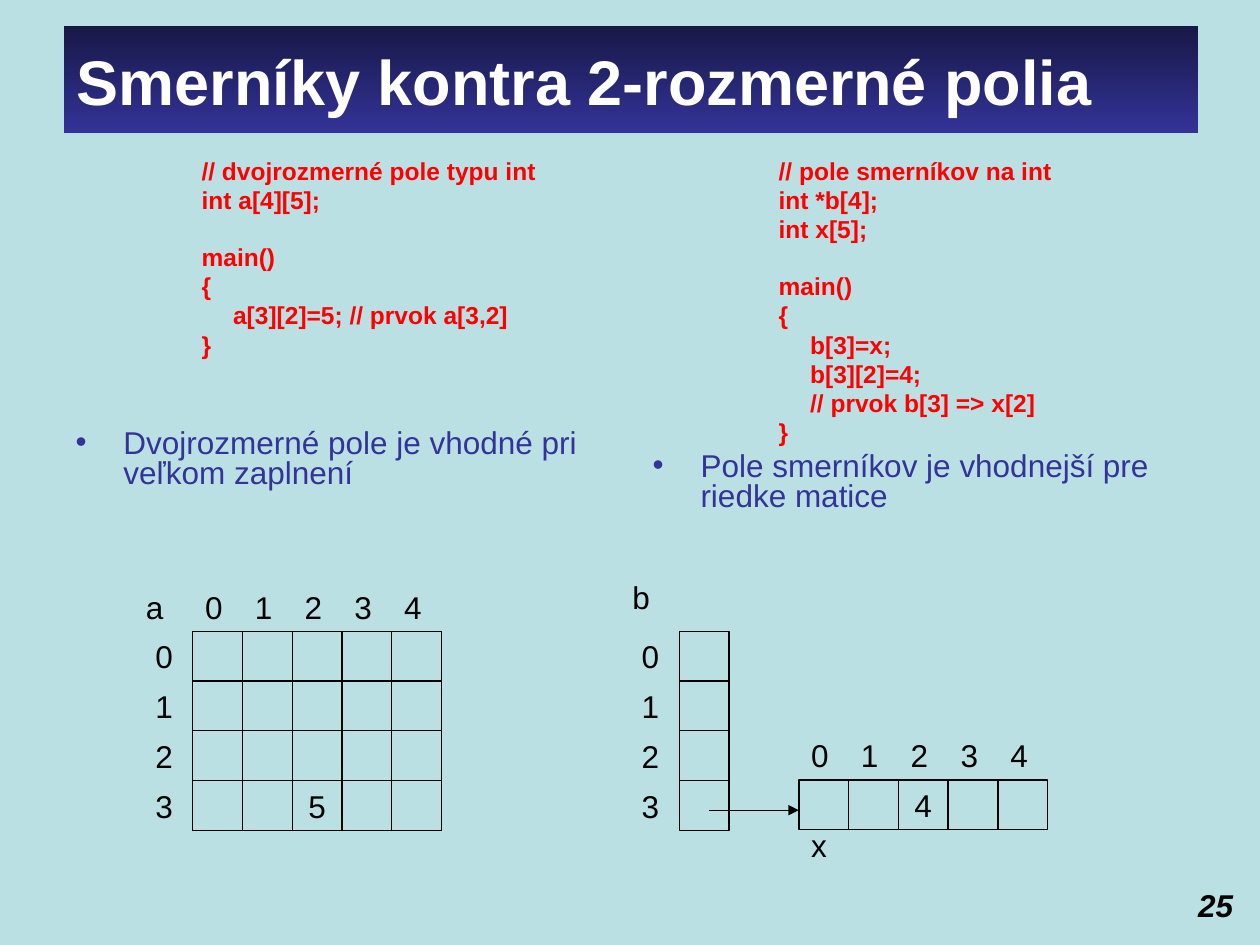
from dataclasses import dataclass

from lxml import etree
from pptx import Presentation
from pptx.dml.color import RGBColor
from pptx.enum.shapes import MSO_CONNECTOR, MSO_SHAPE
from pptx.enum.text import MSO_ANCHOR, MSO_AUTO_SIZE, PP_ALIGN
from pptx.oxml.ns import qn
from pptx.util import Inches, Pt

RECT, STRAIGHT = MSO_SHAPE.RECTANGLE, MSO_CONNECTOR.STRAIGHT
MIDDLE, TOP = MSO_ANCHOR.MIDDLE, MSO_ANCHOR.TOP
LEFT, CENTER = PP_ALIGN.LEFT, PP_ALIGN.CENTER
FIXED, GROW = MSO_AUTO_SIZE.NONE, MSO_AUTO_SIZE.SHAPE_TO_FIT_TEXT


@dataclass(frozen=True)
class Theme:
    font: str = "Arial"
    background: RGBColor = RGBColor(0xBB, 0xE0, 0xE3)
    banner_dark: RGBColor = RGBColor(0x18, 0x18, 0x47)
    accent: RGBColor = RGBColor(0x33, 0x33, 0x99)
    code: RGBColor = RGBColor(0xFF, 0x00, 0x00)
    title: RGBColor = RGBColor(0xFF, 0xFF, 0xFF)
    ink: RGBColor = RGBColor(0x00, 0x00, 0x00)
    title_size: float = 36
    code_size: float = 14
    text_size: float = 18
    line_width: float = 0.75


@dataclass(frozen=True)
class Column:
    """Code blocks followed by one bullet; gap is the space above the bullet in points."""
    left: float
    blocks: tuple[tuple[str, ...], ...]
    bullet: str
    gap: float


@dataclass(frozen=True)
class Grid:
    left: float
    top: float
    rows: int
    cols: int
    row_labels: bool = False
    col_labels: bool = False
    marked: tuple[int, int] | None = None
    value: str = ""


THEME = Theme()
PITCH = 1.58 / 4
LABEL_W, LABEL_H = 0.34, 0.4
CODE_GAP, BLOCK_GAP = 3.2, 19.4

COLUMNS = (
    Column(0.5, (("// dvojrozmerné pole typu int", "int a[4][5];"),
                 ("main()", "{", "\ta[3][2]=5; // prvok a[3,2]", "}")),
           "Dvojrozmerné pole je vhodné pri veľkom zaplnení", 40.7),
    Column(5.08, (("// pole smerníkov na int", "int *b[4];", "int x[5];"),
                  ("main()", "{", "\tb[3]=x;", "\tb[3][2]=4;",
                   "\t// prvok b[3] => x[2]", "}")),
           "Pole smerníkov je vhodnejší pre riedke matice", 4.1),
)
ARRAY_A = Grid(1.53, 5.01, 4, 5, True, True, (3, 2), "5")
ARRAY_B = Grid(5.39, 5.01, 4, 1, row_labels=True)
ARRAY_X = Grid(6.34, 6.19, 1, 5, col_labels=True, marked=(0, 2), value="4")


def place(s, left: float, top: float, width: float, height: float) -> None:
    s.left, s.top = Inches(left), Inches(top)
    s.width, s.height = Inches(width), Inches(height)


def style(p, size: float, color: RGBColor, bold=False, italic=False) -> None:
    for r in p.runs:
        r.font.name, r.font.size = THEME.font, Pt(size)
        r.font.bold, r.font.italic = bold, italic
        r.font.color.rgb = color


def set_indent(p, margin: float, hanging: float, bullet: str = "") -> None:
    pPr = p._p.get_or_add_pPr()
    pPr.set("marL", str(Inches(margin)))
    pPr.set("indent", str(-Inches(hanging)))
    if bullet:
        etree.SubElement(pPr, qn("a:buChar")).set("char", bullet)
    else:
        etree.SubElement(pPr, qn("a:buNone"))


def fill_title(s, text: str) -> None:
    place(s, 0.51, 0.21, 9, 0.85)
    s.fill.gradient()
    s.fill.gradient_angle = 270
    for stop, color in zip(s.fill.gradient_stops, (THEME.banner_dark, THEME.accent)):
        stop.color.rgb = color
    tf = s.text_frame
    tf.text = text
    tf.auto_size, tf.vertical_anchor = FIXED, MIDDLE
    p = tf.paragraphs[0]
    p.alignment = LEFT
    style(p, THEME.title_size, THEME.title, bold=True)


def fill_column(s, column: Column) -> None:
    place(s, column.left, 1.23, 4.42, 3.15)
    tf = s.text_frame
    lines = [(line, BLOCK_GAP if b and not i else CODE_GAP)
             for b, block in enumerate(column.blocks) for i, line in enumerate(block)]
    tf.text = "\n".join([line for line, _ in lines] + [column.bullet])
    tf.auto_size, tf.vertical_anchor = FIXED, TOP
    *code, bullet = tf.paragraphs
    for p in tf.paragraphs:
        p.line_spacing = 0.8
    for p, (_, gap) in zip(code, lines):
        p.level, p.space_before = 2, Pt(gap)
        set_indent(p, 1.25, 0.25)
        style(p, THEME.code_size, THEME.code, bold=True)
    bullet.space_before = Pt(column.gap)
    set_indent(bullet, 0.38, 0.38, "•")
    style(bullet, THEME.text_size, THEME.accent)


def add_label(shapes, text: str, left: float, top: float, width: float = LABEL_W,
              strong: bool = False) -> None:
    s = shapes.add_textbox(Inches(left), Inches(top), Inches(width), Inches(LABEL_H))
    tf = s.text_frame
    tf.text = text
    tf.word_wrap, tf.auto_size = False, GROW
    style(tf.paragraphs[0], THEME.text_size, THEME.ink, strong, strong)


def add_cell(shapes, left: float, top: float, text: str) -> None:
    s = shapes.add_shape(RECT, Inches(left), Inches(top), Inches(PITCH), Inches(PITCH))
    s.shadow.inherit = False
    s.fill.solid()
    s.fill.fore_color.rgb = THEME.background
    s.line.color.rgb, s.line.width = THEME.ink, Pt(THEME.line_width)
    if text:
        tf = s.text_frame
        tf.text = text
        tf.word_wrap, tf.vertical_anchor = False, MIDDLE
        tf.paragraphs[0].alignment = CENTER
        style(tf.paragraphs[0], THEME.text_size, THEME.ink)


def add_grid(shapes, grid: Grid) -> None:
    for row in range(grid.rows):
        for col in range(grid.cols):
            add_cell(shapes, grid.left + col * PITCH, grid.top + row * PITCH,
                     grid.value if (row, col) == grid.marked else "")
    if grid.row_labels:
        for row in range(grid.rows):
            add_label(shapes, str(row), grid.left - PITCH, grid.top + row * PITCH)
    if grid.col_labels:
        for col in range(grid.cols):
            add_label(shapes, str(col), grid.left + col * PITCH, grid.top - PITCH)


def add_arrow(shapes, x1: float, x2: float, y: float) -> None:
    s = shapes.add_connector(STRAIGHT, Inches(x1), Inches(y), Inches(x2), Inches(y))
    s.line.color.rgb, s.line.width = THEME.ink, Pt(THEME.line_width)
    etree.SubElement(s.line._get_or_add_ln(), qn("a:tailEnd")).set("type", "triangle")
    etree.SubElement(s._element.spPr, qn("a:effectLst"))


def main() -> None:
    prs = Presentation()
    prs.slide_width, prs.slide_height = Inches(10), Inches(7.5)
    slide = prs.slides.add_slide(prs.slide_layouts[3])
    slide.background.fill.solid()
    slide.background.fill.fore_color.rgb = THEME.background

    title, *bodies = slide.placeholders
    fill_title(title, "Smerníky kontra 2-rozmerné polia")
    for body, column in zip(bodies, COLUMNS):
        fill_column(body, column)

    matrix = slide.shapes.add_group_shape().shapes
    add_grid(matrix, ARRAY_A)
    add_label(matrix, "a", 1.06, 4.62)

    pointers = slide.shapes.add_group_shape().shapes
    add_grid(pointers, ARRAY_B)
    add_label(pointers, "b", 4.92, 4.54)
    add_grid(pointers, ARRAY_X)
    add_label(pointers, "x", ARRAY_X.left, 6.51)
    add_arrow(pointers, 5.63, ARRAY_X.left, 6.43)

    add_label(slide.shapes, "25", 9.41, 6.98, 0.48, strong=True)
    prs.save("out.pptx")


if __name__ == "__main__":
    main()
